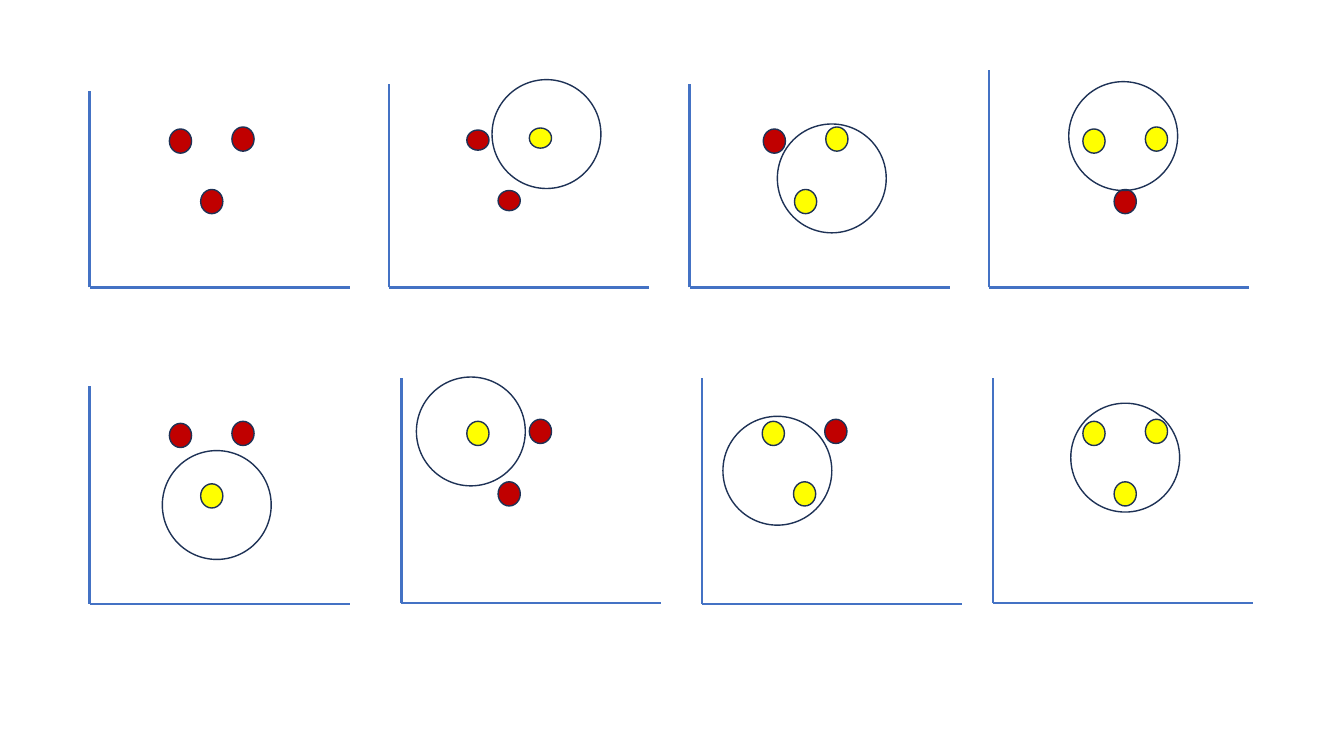
from dataclasses import dataclass
from typing import NamedTuple

from lxml.etree import SubElement
from pptx import Presentation
from pptx.dml.color import RGBColor
from pptx.enum.shapes import MSO_CONNECTOR as Connector, MSO_SHAPE as Shape
from pptx.oxml.ns import qn
from pptx.util import Inches, Pt


@dataclass(frozen=True)
class Theme:
    """Colours and line widths of the slide."""
    axis: str = "4472C4"
    outline: str = "1E3256"
    background: str = "FFFFFF"
    outside: str = "C00000"
    inside: str = "FFFF00"
    axis_width: float = 1.75
    outline_width: float = 1


class Panel(NamedTuple):
    """One plot: axes, three points and the circle that covers some of them."""
    origin: tuple
    axis_top: float
    first_dot: tuple
    covered: tuple = ()
    circle: tuple = None
    dot_height: float = 0.24
    circle_behind: bool = False


THEME = Theme()
AXIS_LENGTH = 2.6 - 0.02
DOT_WIDTH = 0.22
CIRCLE_SIZE = 1.08
DOT_OFFSETS = ((0, 0), (0.62, -0.02), (0.31, 0.6))
PANELS = (
    Panel((0.89, 2.85), 0.9, (1.68, 1.28)),
    Panel((3.86, 2.85), 0.83, (4.63, 1.29), (1,), (4.88, 0.79), 0.2, True),
    Panel((6.84, 2.85), 0.83, (7.57, 1.28), (1, 2), (7.71, 1.23)),
    Panel((9.81, 2.85), 0.69, (10.74, 1.28), (0, 1), (10.6, 0.81)),
    Panel((0.89, 5.99), 3.83, (1.68, 4.2), (2,), (1.61, 4.47)),
    Panel((3.98, 5.98), 3.75, (4.63, 4.18), (0,), (4.13, 3.74)),
    Panel((6.96, 5.99), 3.75, (7.56, 4.18), (0, 2), (7.17, 4.13)),
    Panel((9.85, 5.98), 3.75, (10.74, 4.18), (0, 1, 2), (10.62, 4)),
)


def format_line(line, colour, width):
    """Set the colour and width of a line."""
    line.fill.solid()
    line.color.rgb = RGBColor.from_string(colour)
    for name, value in {"width": Pt(width)}.items():
        setattr(line, name, value)


def add_axis(slide, start, end):
    """Draw one straight axis without a shadow."""
    axis = slide.shapes.add_connector(
        Connector.STRAIGHT, *(Inches(value) for value in (*start, *end)))
    format_line(axis.line, THEME.axis, THEME.axis_width)
    SubElement(axis._element.spPr, qn("a:effectLst"))


def add_ellipse(slide, position, size, fill=None):
    """Draw an outlined ellipse, filled only when a colour is given."""
    ellipse = slide.shapes.add_shape(
        Shape.OVAL, *(Inches(value) for value in (*position, *size)))
    ellipse.shadow.inherit = False
    format_line(ellipse.line, THEME.outline, THEME.outline_width)
    if fill:
        ellipse.fill.solid()
        ellipse.fill.fore_color.rgb = RGBColor.from_string(fill)
    else:
        ellipse.fill.background()


def add_circle(slide, panel):
    """Draw the covering circle of a panel."""
    fill = THEME.background if panel.circle_behind else None
    add_ellipse(slide, panel.circle, (CIRCLE_SIZE, CIRCLE_SIZE), fill)


def add_dots(slide, panel):
    """Draw the three points, coloured by whether the circle covers them."""
    left, top = panel.first_dot
    for index, (right, down) in enumerate(DOT_OFFSETS):
        fill = THEME.inside if index in panel.covered else THEME.outside
        add_ellipse(slide, (left + right, top + down),
                    (DOT_WIDTH, panel.dot_height), fill)


def add_panel(slide, panel):
    """Draw the axes, points and circle of one panel."""
    left, bottom = panel.origin
    add_axis(slide, panel.origin, (left + AXIS_LENGTH, bottom))
    add_axis(slide, panel.origin, (left, panel.axis_top))
    if panel.circle_behind:
        add_circle(slide, panel)
    add_dots(slide, panel)
    if panel.circle and not panel.circle_behind:
        add_circle(slide, panel)


def main():
    """Build and save the slide."""
    presentation = Presentation()
    size = {"slide_width": Inches(13.33), "slide_height": Inches(7.5)}
    for name, value in size.items():
        setattr(presentation, name, value)
    slide = presentation.slides.add_slide(presentation.slide_layouts[6])
    for panel in PANELS:
        add_panel(slide, panel)
    presentation.save("out.pptx")


if __name__ == "__main__":
    main()
